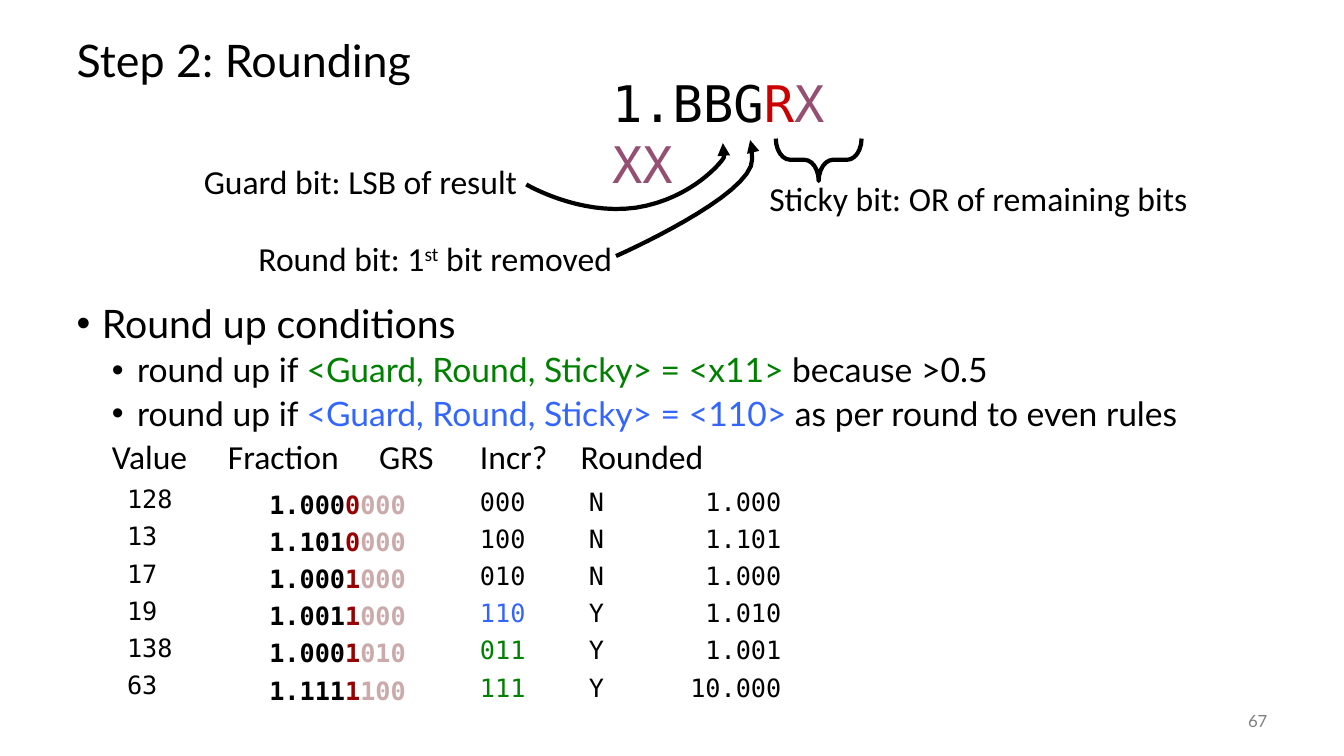
"""Build the slide that explains rounding with guard, round and sticky bits."""
from typing import NamedTuple

from lxml.etree import SubElement
from pptx import Presentation
from pptx.dml.color import RGBColor
from pptx.enum.shapes import MSO_SHAPE as Preset
from pptx.enum.text import MSO_ANCHOR as Anchor, MSO_AUTO_SIZE as AutoSize, PP_ALIGN as Align
from pptx.oxml.ns import qn
from pptx.util import Inches, Pt

BLACK = RGBColor(0x00, 0x00, 0x00)
GREEN = RGBColor(0x00, 0x80, 0x00)
BLUE = RGBColor(0x33, 0x66, 0xFF)
RED = RGBColor(0xCC, 0x00, 0x00)
PLUM = RGBColor(0x95, 0x4F, 0x72)
DARK_RED = RGBColor(0x98, 0x00, 0x02)
PALE_RED = RGBColor(0xCA, 0xAA, 0xAA)
GRAY = RGBColor(0x80, 0x80, 0x80)
LATO, CALIBRI, MONO = "Lato", "Calibri", "DejaVu Sans Mono"
HEADER_TABS = (1.6, 3.6, 4.6, 5.6)


class Piece(NamedTuple):
    text: str
    color: RGBColor = BLACK
    superscript: bool = False


class Style(NamedTuple):
    font: str
    size: float
    bold: bool = False
    align: Align = Align.LEFT
    level: int = 0
    margin: float = 0
    indent: float = 0
    before: float = 0
    spacing: float = 1.0
    bullet: str = ""
    tabs: tuple[float, ...] = ()


class Line(NamedTuple):
    pieces: list[Piece]
    style: Style


class Box(NamedTuple):
    left: float
    top: float
    width: float
    height: float


class Label(NamedTuple):
    box: Box
    line: Line
    wrap: bool = False


class Column(NamedTuple):
    box: Box
    style: Style
    rows: list[list[Piece]]


class Arrow(NamedTuple):
    start: tuple[float, float]
    curves: list[tuple[tuple[float, float], ...]]


class Example(NamedTuple):
    value: str
    kept: str
    round_bit: str
    rest: str
    grs: str
    increment: str
    rounded: str
    grs_color: RGBColor = BLACK


EXAMPLES = [
    Example("128", "1.000", "0", "000", "000", "N", "1.000"),
    Example("13", "1.101", "0", "000", "100", "N", "1.101"),
    Example("17", "1.000", "1", "000", "010", "N", "1.000"),
    Example("19", "1.001", "1", "000", "110", "Y", "1.010", BLUE),
    Example("138", "1.000", "1", "010", "011", "Y", "1.001", GREEN),
    Example("63", "1.111", "1", "100", "111", "Y", "10.000", GREEN),
]

TITLE = Style(LATO, 32, spacing=0.9)
TOPIC = Style(LATO, 28, margin=0.25, indent=-0.25, spacing=0.9, bullet="•")
RULE = Style(LATO, 24, level=1, margin=0.6, indent=-0.25, before=5, spacing=0.9, bullet="•")
HEADER = Style(CALIBRI, 24, level=1, indent=0.35, before=5, spacing=0.9, tabs=HEADER_TABS)
VALUE = Style(MONO, 18, level=1, margin=0.5, before=5)
CELL = Style(MONO, 18, margin=0.34, before=5)
NOTE = Style(CALIBRI, 24)
NOTE_RIGHT = NOTE._replace(align=Align.RIGHT)

CONDITIONS = [
    Line([Piece("Round up conditions")], TOPIC),
    Line([Piece("round up if "), Piece("<Guard, Round, Sticky> = <x11> ", GREEN),
          Piece("because >0.5")], RULE),
    Line([Piece("round up if "), Piece("<Guard, Round, Sticky> = <110> ", BLUE),
          Piece("as per round to even rules")], RULE),
    Line([Piece("Value\tFraction\tGRS\tIncr?\tRounded")], HEADER),
    *[Line([Piece(example.value)], VALUE) for example in EXAMPLES],
]

COLUMNS = [
    Column(Box(2.29, 4.81, 1.92, 2.66), CELL._replace(bold=True),
           [[Piece(e.kept), Piece(e.round_bit, DARK_RED), Piece(e.rest, PALE_RED)]
            for e in EXAMPLES]),
    Column(Box(4.38, 4.78, 1.08, 2.66), CELL, [[Piece(e.grs, e.grs_color)] for e in EXAMPLES]),
    Column(Box(5.46, 4.78, 0.75, 2.66), CELL, [[Piece(e.increment)] for e in EXAMPLES]),
    Column(Box(6.29, 4.78, 1.5, 2.66), CELL._replace(align=Align.RIGHT),
           [[Piece(e.rounded)] for e in EXAMPLES]),
]

LABELS = [
    Label(Box(6.03, 0.68, 2.39, 0.69),
          Line([Piece("1.BBG"), Piece("R", RED), Piece("XXX", PLUM)], Style(MONO, 36)), True),
    Label(Box(1.82, 1.56, 3.35, 0.49), Line([Piece("Guard bit: LSB of result")], NOTE_RIGHT)),
    Label(Box(2.4, 2.32, 3.71, 0.49),
          Line([Piece("Round bit: 1"), Piece("st", superscript=True),
                Piece(" bit removed")], NOTE_RIGHT)),
    Label(Box(7.59, 1.72, 4.36, 0.49), Line([Piece("Sticky bit: OR of remaining bits")], NOTE)),
]

ARROWS = [
    Arrow((6.11, 2.54), [((6.11, 2.54), (7.47, 1.94), (7.46, 1.58)),
                         ((7.44, 1.22), (7.44, 1.39), (7.44, 1.39))]),
    Arrow((5.22, 1.83), [((5.22, 1.83), (5.74, 2.14), (6.31, 2.06)),
                         ((6.88, 1.97), (7.18, 1.58), (7.18, 1.56)),
                         ((7.18, 1.53), (7.17, 1.42), (7.17, 1.42))]),
]


def place(shape, box: Box) -> None:
    shape.left, shape.top, shape.width, shape.height = map(Inches, box)


def write(frame, lines: list[Line], wrap: bool = True, anchor: Anchor = Anchor.TOP) -> None:
    frame.word_wrap, frame.auto_size, frame.vertical_anchor = wrap, AutoSize.NONE, anchor
    for number, (pieces, style) in enumerate(lines):
        paragraph = frame.add_paragraph() if number else frame.paragraphs[0]
        paragraph.level, paragraph.alignment = style.level, style.align
        properties = paragraph._p.get_or_add_pPr()
        properties.set("marL", str(Inches(style.margin)))
        properties.set("indent", str(Inches(style.indent)))
        if style.bullet:
            SubElement(properties, qn("a:buChar"), char=style.bullet)
        else:
            SubElement(properties, qn("a:buNone"))
        if style.tabs:
            stops = SubElement(properties, qn("a:tabLst"))
            for stop in style.tabs:
                SubElement(stops, qn("a:tab"), pos=str(Inches(stop)), algn="l")
        paragraph.line_spacing = style.spacing
        paragraph.space_before = Pt(style.before if number else 0)
        for piece in pieces:
            run = paragraph.add_run()
            run.text = piece.text
            run.font.name, run.font.size, run.font.bold = style.font, Pt(style.size), style.bold
            run.font.color.rgb = piece.color
            if piece.superscript:
                run.font._element.set("baseline", "30000")


def add_text(slide, box: Box, lines: list[Line], wrap: bool = True) -> None:
    frame = slide.shapes.add_textbox(*map(Inches, box)).text_frame
    frame.margin_left = frame.margin_right = Inches(0.04)
    frame.margin_top = frame.margin_bottom = Inches(0.04)
    write(frame, lines, wrap)


def outline(shape) -> None:
    shape.shadow.inherit = False
    shape.fill.background()
    shape.line.color.rgb, shape.line.width = BLACK, Pt(3)


def add_arrow(slide, arrow: Arrow, steps: int = 16) -> None:
    points = [arrow.start]
    for first, second, end in arrow.curves:
        begin = points[-1]
        for t in (step / steps for step in range(1, steps + 1)):
            weights = ((1 - t) ** 3, 3 * t * (1 - t) ** 2, 3 * t * t * (1 - t), t ** 3)
            knots = (begin, first, second, end)
            points.append(tuple(sum(w * k[axis] for w, k in zip(weights, knots))
                                for axis in (0, 1)))
    corners = [(Inches(x), Inches(y)) for x, y in points]
    builder = slide.shapes.build_freeform(*corners[0])
    builder.add_line_segments(corners[1:], close=False)
    curve = builder.convert_to_shape()
    outline(curve)
    SubElement(curve.line._get_or_add_ln(), qn("a:tailEnd"), type="triangle")


def main() -> None:
    deck = Presentation()
    deck.slide_width, deck.slide_height = Inches(13.33), Inches(7.5)
    slide = deck.slides.add_slide(deck.slide_layouts[1])
    title, conditions = slide.placeholders
    place(title, Box(0.66, 0.25, 12, 0.75))
    write(title.text_frame, [Line([Piece("Step 2: Rounding")], TITLE)], anchor=Anchor.MIDDLE)
    place(conditions, Box(0.66, 2.97, 12, 3.78))
    write(conditions.text_frame, CONDITIONS)
    for column in COLUMNS:
        add_text(slide, column.box, [Line(row, column.style) for row in column.rows])
    for label in LABELS:
        add_text(slide, label.box, [label.line], label.wrap)
    sticky_brace = slide.shapes.add_shape(
        Preset.LEFT_BRACE, Inches(7.91), Inches(1.16), Inches(0.42), Inches(0.85))
    sticky_brace.rotation = 270
    sticky_brace.adjustments[0] = 0.34
    outline(sticky_brace)
    for arrow in ARROWS:
        add_arrow(slide, arrow)
    page_number = slide.shapes.add_textbox(*map(Inches, Box(11.67, 6.95, 1, 0.4)))
    write(page_number.text_frame, [Line([Piece("67", GRAY)], Style(LATO, 12, align=Align.RIGHT))],
          anchor=Anchor.MIDDLE)
    deck.save("out.pptx")


if __name__ == "__main__":
    main()
